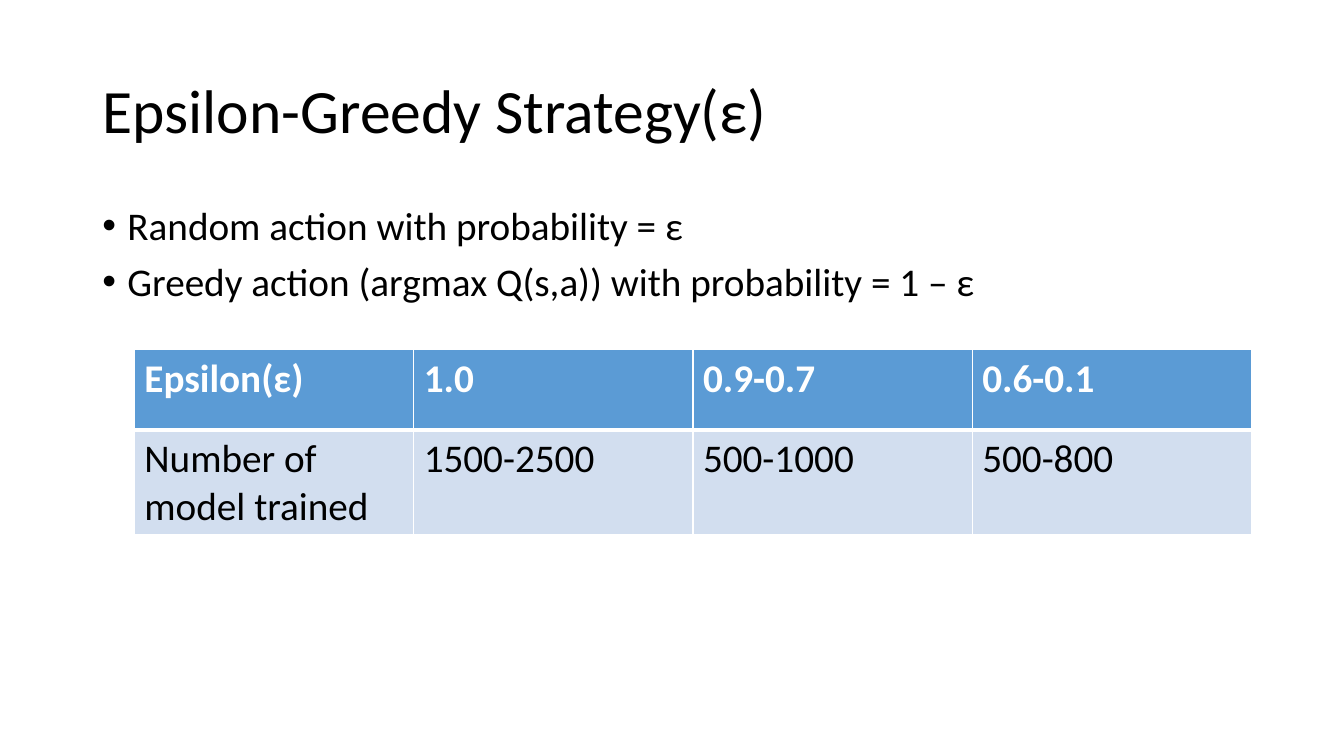
"""Build a slide on the epsilon-greedy strategy."""
from lxml import etree
from pptx import Presentation
from pptx.dml.color import RGBColor
from pptx.enum.text import MSO_ANCHOR, MSO_AUTO_SIZE, PP_ALIGN
from pptx.oxml.ns import qn
from pptx.util import Pt

MIDDLE = MSO_ANCHOR.MIDDLE
LEFT = PP_ALIGN.LEFT
NO_FIT = MSO_AUTO_SIZE.NONE
BLACK = RGBColor(0x00, 0x00, 0x00)
WHITE = RGBColor(0xFF, 0xFF, 0xFF)
BLUE = RGBColor(0x5B, 0x9B, 0xD5)
PALE = RGBColor(0xD2, 0xDE, 0xEF)


class Deck:
    def __init__(self, wide, high):
        self.font = "Calibri"
        self.size = 28
        self.prs = Presentation()
        self.prs.slide_width = Pt(wide)
        self.prs.slide_height = Pt(high)
        self.slide = self.prs.slides.add_slide(self.prs.slide_layouts[5])

    def style(self, para, size, color, bold=False):
        para.alignment = LEFT
        for run in para.runs:
            run.font.name = self.font
            run.font.size = Pt(size)
            run.font.bold = bold
            run.font.color.rgb = color

    def title(self, text, left, top, wide, high):
        shape = self.slide.shapes.title
        shape.left, shape.top = Pt(left), Pt(top)
        shape.width, shape.height = Pt(wide), Pt(high)
        frame = shape.text_frame
        frame.text = text
        frame.auto_size = NO_FIT
        frame.vertical_anchor = MIDDLE
        para = frame.paragraphs[0]
        para.line_spacing = 0.9
        self.style(para, 44, BLACK)

    def bullets(self, lines, left, top, wide, high):
        box = self.slide.shapes.add_textbox(Pt(left), Pt(top), Pt(wide), Pt(high))
        frame = box.text_frame
        frame.word_wrap = True
        frame.text = "\n".join(lines)
        for para in frame.paragraphs:
            para.line_spacing = 0.9
            para.space_before = Pt(10)
            self.style(para, self.size, BLACK)
            props = para._p.get_or_add_pPr()
            props.set("marL", str(Pt(18)))
            props.set("indent", str(-Pt(18)))
            etree.SubElement(props, qn("a:buFont")).set("typeface", "Arial")
            etree.SubElement(props, qn("a:buChar")).set("char", "•")

    def border(self, cell, side, width):
        line = etree.SubElement(cell._tc.get_or_add_tcPr(), qn("a:ln" + side))
        line.set("w", str(Pt(width)))
        fill = etree.SubElement(line, qn("a:solidFill"))
        etree.SubElement(fill, qn("a:srgbClr")).set("val", str(WHITE))

    def table(self, rows, left, top, wide, high):
        frame = self.slide.shapes.add_table(
            len(rows), len(rows[0]), Pt(left), Pt(top), Pt(wide), Pt(high))
        for r, row in enumerate(rows):
            head = r == 0
            for c, text in enumerate(row):
                cell = frame.table.cell(r, c)
                cell.text = text
                color = WHITE if head else BLACK
                self.style(cell.text_frame.paragraphs[0], self.size, color, head)
                for side in "LRTB":
                    thick = side == ("B" if head else "T")
                    self.border(cell, side, 3 if thick else 1)
                cell.fill.solid()
                cell.fill.fore_color.rgb = BLUE if head else PALE


def main():
    deck = Deck(960, 540)
    deck.title("Epsilon-Greedy Strategy(ε)", 66, 28.75, 828, 104.4)
    deck.bullets([
        "Random action with probability = ε",
        "Greedy action (argmax Q(s,a)) with probability = 1 – ε",
    ], 66, 143.75, 828, 342.6)
    deck.table([
        ["Epsilon(ε)", "1.0", "0.9-0.7", "0.6-0.1"],
        ["Number of model trained", "1500-2500", "500-1000", "500-800"],
    ], 96, 249.8, 798, 115.2)
    deck.prs.save("out.pptx")


if __name__ == "__main__":
    main()
